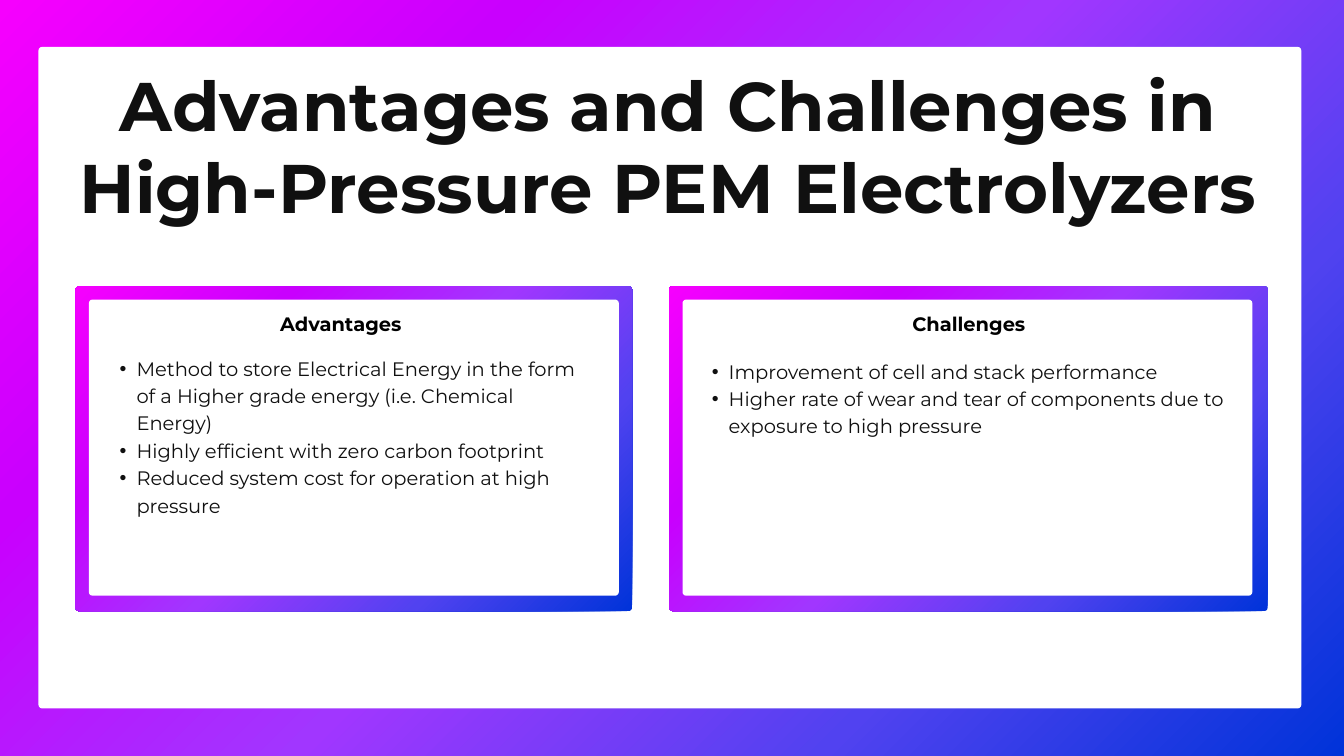
from dataclasses import dataclass

import pptx
import pptx.dml.color
import pptx.enum.shapes
import pptx.enum.text
import pptx.oxml
import pptx.oxml.ns
import pptx.shapes.autoshape
import pptx.slide
import pptx.text.text
import pptx.util

PX = 9525
FONT = "Montserrat"
WHITE = pptx.dml.color.RGBColor(0xFF, 0xFF, 0xFF)
BLACK = pptx.dml.color.RGBColor(0x00, 0x00, 0x00)
INK = pptx.dml.color.RGBColor(0x10, 0x10, 0x10)
GLOW = [
    pptx.dml.color.RGBColor(0xF6, 0x00, 0xFE),
    pptx.dml.color.RGBColor(0xC9, 0x00, 0xFE),
    pptx.dml.color.RGBColor(0xA1, 0x36, 0xFF),
    pptx.dml.color.RGBColor(0x51, 0x42, 0xF0),
    pptx.dml.color.RGBColor(0x00, 0x33, 0xD9),
]
CORNER = 5
BULLET_MARGIN = 47
BULLET_HANG = 24


@dataclass
class Area:
    left: int
    top: int
    width: int
    height: int

    def emu(self) -> list[int]:
        return [side * PX for side in (self.left, self.top, self.width, self.height)]


@dataclass
class TextStyle:
    size: float
    leading: float
    color: pptx.dml.color.RGBColor
    bold: bool = False
    bulleted: bool = False


@dataclass
class Card:
    frame: Area
    inside: Area
    heading: str
    heading_area: Area
    points: list[str]
    points_area: Area


TITLE = TextStyle(73.7, 88.4, INK, bold=True)
HEADING = TextStyle(20.8, 29.1, BLACK, bold=True)
POINT = TextStyle(20.9, 29.3, INK, bulleted=True)

CARDS = [
    Card(
        Area(108, 409, 795, 464),
        Area(127, 428, 757, 423),
        "Advantages",
        Area(336, 441, 302, 36),
        [
            "Method to store Electrical Energy in the form of a Higher grade energy (i.e. Chemical Energy)",
            "Highly efficient with zero carbon footprint",
            "Reduced system cost for operation at high pressure",
        ],
        Area(148, 504, 697, 272),
    ),
    Card(
        Area(956, 409, 855, 464),
        Area(975, 428, 814, 423),
        "Challenges",
        Area(1233, 441, 302, 36),
        [
            "Improvement of cell and stack performance",
            "Higher rate of wear and tear of components due to exposure to high pressure",
        ],
        Area(994, 508, 778, 204),
    ),
]


def set_glow(fill: pptx.dml.fill.FillFormat, element: pptx.oxml.xmlchemy.BaseOxmlElement) -> None:
    fill.gradient()
    old = next(element.iter(pptx.oxml.ns.qn("a:gradFill")))
    step = 100000 // (len(GLOW) - 1)
    stops = "".join(
        f'<a:gs pos="{index * step}"><a:srgbClr val="{color}"/></a:gs>'
        for index, color in enumerate(GLOW)
    )
    new = pptx.oxml.parse_xml(
        f'<a:gradFill {pptx.oxml.ns.nsdecls("a")} rotWithShape="1"><a:gsLst>{stops}</a:gsLst>'
        '<a:path path="circle"><a:fillToRect l="0" t="0" r="100000" b="100000"/></a:path>'
        "</a:gradFill>"
    )
    old.getparent().replace(old, new)


def add_panel(page: pptx.slide.Slide, area: Area) -> pptx.shapes.autoshape.Shape:
    panel = page.shapes.add_shape(
        pptx.enum.shapes.MSO_SHAPE.ROUNDED_RECTANGLE, *area.emu()
    )
    panel.adjustments[0] = CORNER / min(area.width, area.height)
    panel.shadow.inherit = False
    panel.line.fill.background()
    panel.fill.solid()
    panel.fill.fore_color.rgb = WHITE
    return panel


def add_bullet(para: pptx.text.text._Paragraph) -> None:
    para.level = 1
    properties = para._p.get_or_add_pPr()
    properties.set("marL", str(BULLET_MARGIN * PX))
    properties.set("indent", str(-BULLET_HANG * PX))
    for tag in (
        f'<a:buFont {pptx.oxml.ns.nsdecls("a")} typeface="Arial"/>',
        f'<a:buChar {pptx.oxml.ns.nsdecls("a")} char="•"/>',
    ):
        properties.append(pptx.oxml.parse_xml(tag))


def add_text(page: pptx.slide.Slide, area: Area, lines: list[str], style: TextStyle) -> None:
    box = page.shapes.add_textbox(*area.emu())
    frame = box.text_frame
    frame.word_wrap = True
    frame.auto_size = pptx.enum.text.MSO_AUTO_SIZE.SHAPE_TO_FIT_TEXT
    frame.margin_left = frame.margin_right = 0
    frame.margin_top = frame.margin_bottom = 0
    for index, line in enumerate(lines):
        para = frame.add_paragraph() if index else frame.paragraphs[0]
        para.line_spacing = pptx.util.Pt(style.leading)
        if style.bulleted:
            add_bullet(para)
        else:
            para.alignment = pptx.enum.text.PP_ALIGN.CENTER
        span = para.add_run()
        span.text = line
        span.font.name = FONT
        span.font.size = pptx.util.Pt(style.size)
        span.font.bold = style.bold
        span.font.color.rgb = style.color


def add_card(page: pptx.slide.Slide, card: Card) -> None:
    frame = add_panel(page, card.frame)
    set_glow(frame.fill, frame.element)
    add_panel(page, card.inside)
    add_text(page, card.points_area, card.points, POINT)
    add_text(page, card.heading_area, [card.heading], HEADING)


def main() -> None:
    deck = pptx.Presentation()
    deck.slide_width = 1920 * PX
    deck.slide_height = 1080 * PX
    page = deck.slides.add_slide(deck.slide_layouts[6])
    set_glow(page.background.fill, page.element)
    add_panel(page, Area(55, 67, 1804, 945))
    for card in CARDS:
        add_card(page, card)
    add_text(
        page,
        Area(55, 89, 1798, 234),
        ["Advantages and Challenges in High-Pressure PEM Electrolyzers"],
        TITLE,
    )
    deck.save("out.pptx")


if __name__ == "__main__":
    main()
